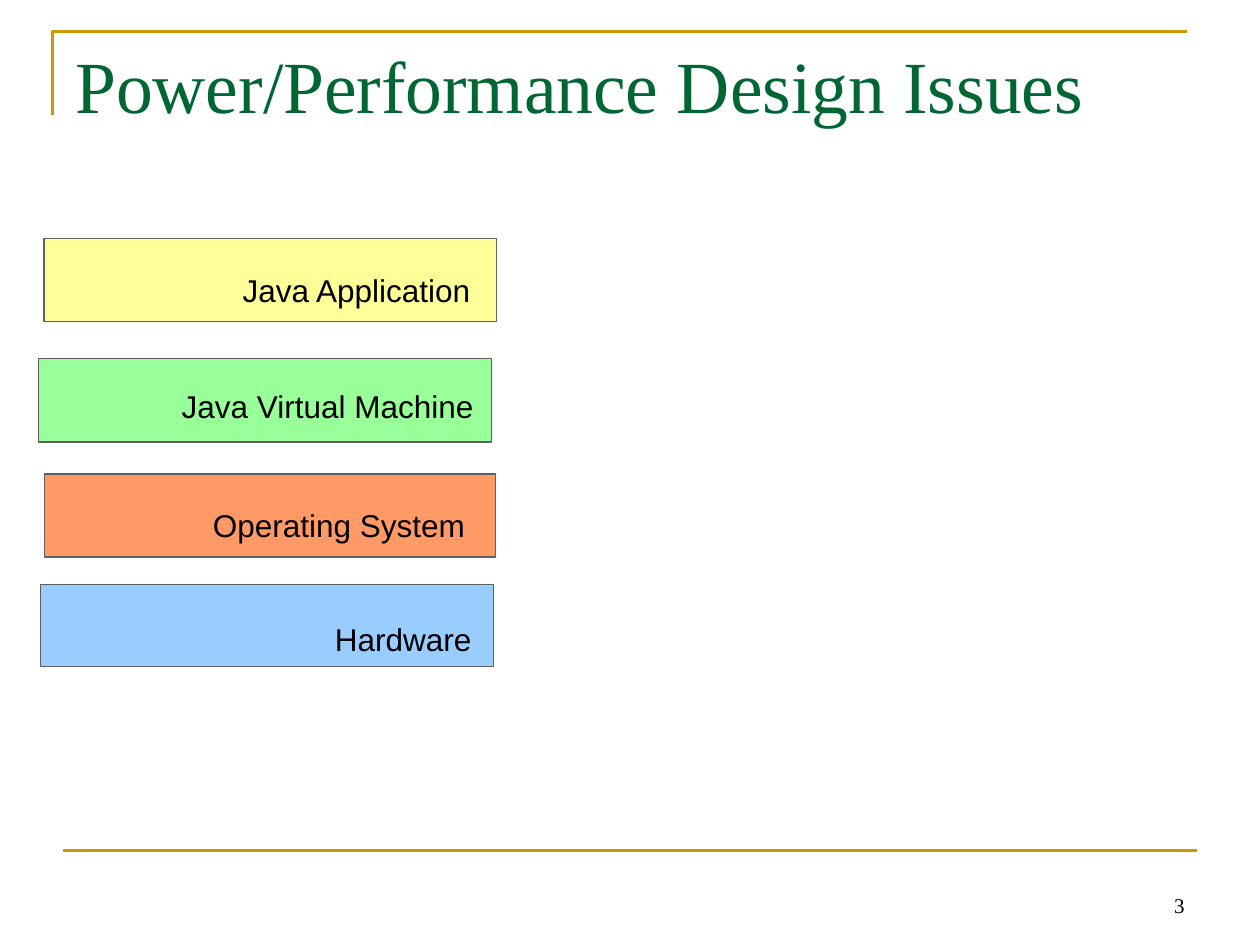
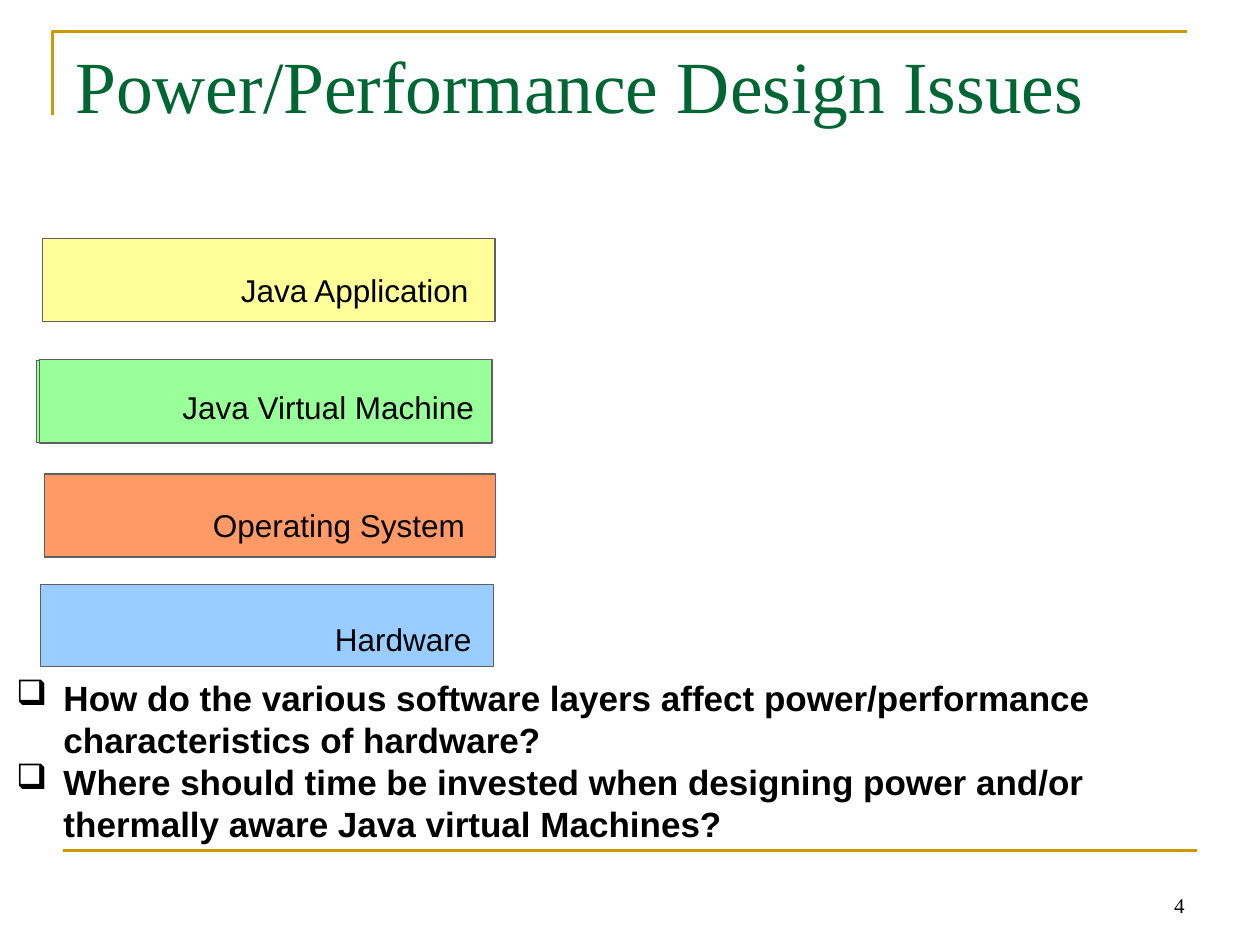
from dataclasses import dataclass

from lxml import etree
from pptx import Presentation
from pptx.dml.color import RGBColor as RGB
from pptx.enum.shapes import MSO_CONNECTOR as CONNECTOR, MSO_SHAPE as SHAPE
from pptx.enum.text import MSO_ANCHOR as ANCHOR, PP_ALIGN as ALIGN
from pptx.oxml.ns import qn
from pptx.util import Pt


@dataclass(frozen=True)
class Theme:
    gold: RGB = RGB.from_string("CC9900")
    green: RGB = RGB.from_string("006633")
    black: RGB = RGB.from_string("000000")
    edge: RGB = RGB.from_string("5F5F5F")
    serif: str = "Times New Roman"
    sans: str = "Arial"
    title_size: int = 42
    question_size: int = 20
    label_size: int = 18
    number_size: int = 12


theme = Theme()
TITLE = "Power/Performance Design Issues"
QUESTIONS = [
    "How do the various software layers affect power/performance characteristics of hardware?",
    "Where should time be invested when designing power and/or thermally aware Java virtual Machines?",
]

# Layers from the bottom up: name, fill, block bounds, label bounds
LAYERS = [
    ("Hardware", "99CCFF", (23, 334, 259.2, 46.8), (184.3, 350.6, 92.2, 28.8)),
    ("Operating System", "FF9966", (25.4, 270.9, 257.8, 47.4), (114.5, 285.8, 158.4, 28.8)),
    ("Java Virtual Machine", "99FF99", (22.2, 205, 258.6, 47.6), (96.5, 217.6, 181.4, 28.8)),
    ("Java Application", "FFFF99", (25.2, 136.1, 258.6, 47.6), (131, 151.2, 145.4, 28.8)),
]

# Each slide: number, layer offsets, strips behind the layers, questions
SLIDES = [
    (3, {}, [], []),
    (4, {"Java Virtual Machine": (0.4, 0.6), "Java Application": (-1, 0)},
     [("99FF99", (20.9, 205.9, 59, 46.8))], QUESTIONS),
]


def add_text(slide, bounds, lines, align=ALIGN.LEFT, anchor=ANCHOR.TOP, wrap=True, **font):
    box = slide.shapes.add_textbox(*map(Pt, bounds))
    frame = box.text_frame
    frame.word_wrap = wrap
    frame.vertical_anchor = anchor
    frame.text = "\n".join(lines)
    for paragraph in frame.paragraphs:
        paragraph.alignment = align
        run_font = paragraph.runs[0].font
        run_font.color.rgb = font.get("color", theme.black)
        for key, value in font.items():
            if key != "color":
                setattr(run_font, key, value)
    return frame


def add_block(slide, fill, bounds):
    block = slide.shapes.add_shape(SHAPE.RECTANGLE, *map(Pt, bounds))
    block.shadow.inherit = False
    block.fill.solid()
    block.fill.fore_color.rgb = RGB.from_string(fill)
    block.line.color.rgb = theme.edge
    block.line.width = Pt(0.75)


deck = Presentation()
deck.slide_width, deck.slide_height = Pt(720), Pt(540)

for number, offsets, strips, questions in SLIDES:
    slide = deck.slides.add_slide(deck.slide_layouts[6])

    # Gold corner and footer rule
    outline = slide.shapes.build_freeform(Pt(30.2), Pt(66))
    outline.add_line_segments([(Pt(30.2), Pt(18)), (Pt(678.2), Pt(18))], close=False)
    corner = outline.convert_to_shape()
    corner.shadow.inherit = False
    corner.fill.background()
    rule = slide.shapes.add_connector(CONNECTOR.STRAIGHT, Pt(36), Pt(486), Pt(684), Pt(486))
    etree.SubElement(rule.element.spPr, qn("a:effectLst"))
    for gold_line in (corner.line, rule.line):
        gold_line.color.rgb = theme.gold
        gold_line.width = Pt(1.5)

    # Title
    add_text(slide, (36, 19.4, 648, 62), [TITLE],
             name=theme.serif, size=Pt(theme.title_size), color=theme.green)

    # Layer stack
    for fill, bounds in strips:
        add_block(slide, fill, bounds)
    for name, fill, block, label in LAYERS:
        dx, dy = offsets.get(name, (0, 0))
        block, label = [(x + dx, y + dy, w, h) for x, y, w, h in (block, label)]
        add_block(slide, fill, block)
        add_text(slide, label, [name], align=ALIGN.CENTER, wrap=False,
                 name=theme.sans, size=Pt(theme.label_size))

    # Bulleted questions
    if questions:
        frame = add_text(slide, (2.2, 383, 717.8, 103.7), questions,
                         name=theme.sans, size=Pt(theme.question_size), bold=True)
        for paragraph in frame.paragraphs:
            props = paragraph._p.get_or_add_pPr()
            props.set("marL", str(Pt(27)))
            props.set("indent", str(-Pt(27)))
            etree.SubElement(props, qn("a:buChar")).set("char", "❑")

    # Slide number
    add_text(slide, (516.2, 491.8, 167.8, 36), [str(number)], align=ALIGN.RIGHT,
             anchor=ANCHOR.BOTTOM, name=theme.serif, size=Pt(theme.number_size))

deck.save("out.pptx")
